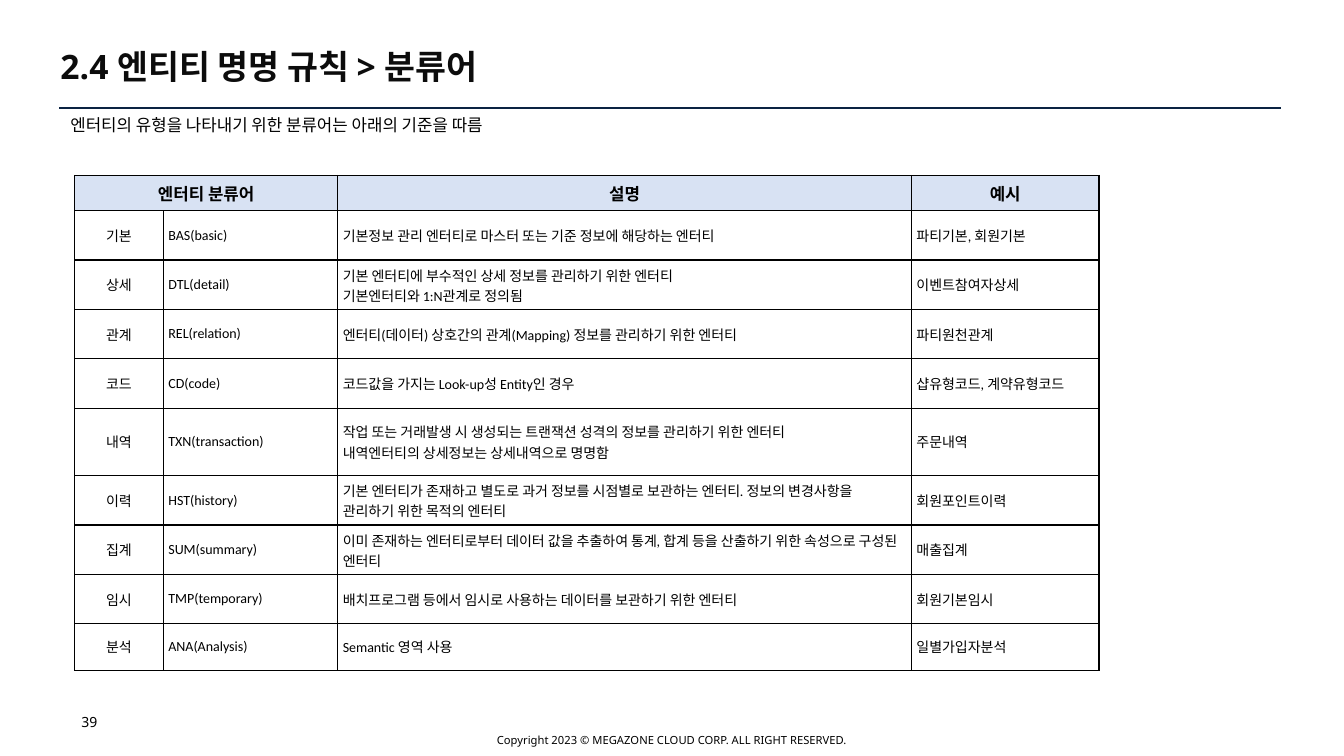
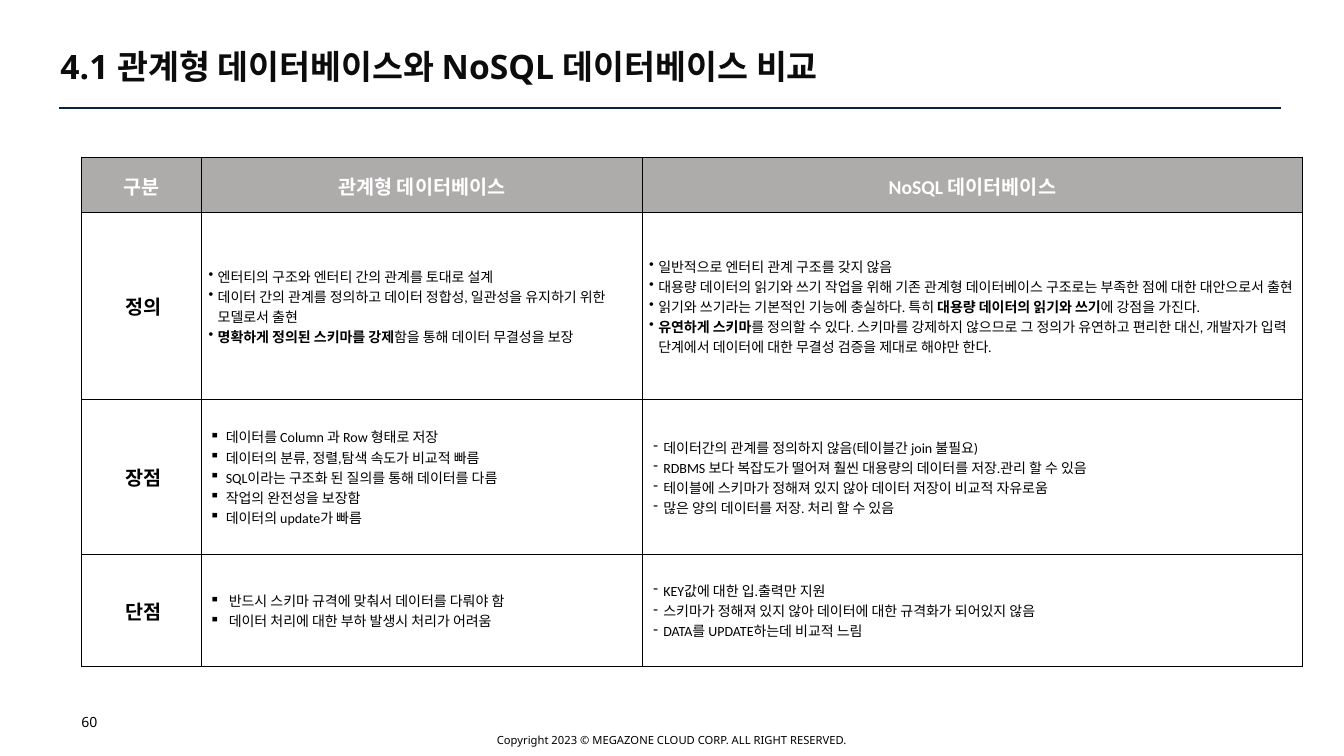
from dataclasses import dataclass, replace
from typing import NamedTuple, Optional

from lxml import etree
from pptx import Presentation, util as u
from pptx.dml.color import RGBColor
from pptx.enum import shapes, text
from pptx.oxml import ns

PX = 9144  # EMU per px, 100 px to the inch

BLACK = RGBColor(0x00, 0x00, 0x00)
WHITE = RGBColor(0xFF, 0xFF, 0xFF)
TITLE_INK = RGBColor(0x0C, 0x0C, 0x0C)
NAVY = RGBColor(0x0A, 0x23, 0x42)
PALE_BLUE = RGBColor(0xD8, 0xE2, 0xF3)
GREY = RGBColor(0xAE, 0xAB, 0xAB)

BODY_FONT = "Calibri"
FRAME_FONT = "Noto Sans"
LEFT, CENTER = text.PP_ALIGN.LEFT, text.PP_ALIGN.CENTER
TOP, MIDDLE = text.MSO_ANCHOR.TOP, text.MSO_ANCHOR.MIDDLE
COPYRIGHT = "Copyright 2023 © MEGAZONE CLOUD CORP. ALL RIGHT RESERVED."


class Box(NamedTuple):
    left: int
    top: int
    width: int
    height: int


class Inset(NamedTuple):
    left: int
    top: int
    right: int
    bottom: int


class Bullet(NamedTuple):
    char: str
    indent: int
    hanging: int


@dataclass(frozen=True)
class CellStyle:
    inset: Inset
    size: int = 10
    bold: bool = False
    color: RGBColor = BLACK
    align: text.PP_ALIGN = LEFT
    fill: Optional[RGBColor] = None
    bullet: Optional[Bullet] = None


class Cell(NamedTuple):
    content: str
    style: CellStyle


def px(length: int) -> u.Emu:
    return u.Emu(length * PX)


def add_child(parent, tag: str, **attributes: str):
    return etree.SubElement(parent, ns.qn(tag), attributes)


def set_bullet(paragraph, bullet: Bullet) -> None:
    properties = paragraph._p.get_or_add_pPr()
    properties.set("marL", str(px(bullet.indent)))
    properties.set("indent", str(px(-bullet.hanging)))
    color = add_child(properties, "a:buClr")
    add_child(color, "a:srgbClr", val=str(BLACK))
    add_child(properties, "a:buChar", char=bullet.char)


def write(frame, content: str, *, size: int, font: str = BODY_FONT,
          color: RGBColor = BLACK, bold: bool = False,
          align: text.PP_ALIGN = LEFT, spacing: Optional[float] = None,
          bullet: Optional[Bullet] = None) -> None:
    """Write one paragraph per line; ** switches bold on and off."""
    for number, line in enumerate(content.split("\n")):
        paragraph = frame.add_paragraph() if number else frame.paragraphs[0]
        if bullet:
            set_bullet(paragraph, bullet)
        paragraph.alignment = align
        if spacing:
            paragraph.line_spacing = spacing
        for part, words in enumerate(line.split("**")):
            if not words:
                continue
            run = paragraph.add_run()
            run.text = words
            run.font.name = font
            run.font.size = u.Pt(size)
            run.font.bold = bold or part % 2 == 1
            run.font.color.rgb = color


def set_inset(target, inset: Inset) -> None:
    target.margin_left, target.margin_top = px(inset.left), px(inset.top)
    target.margin_right, target.margin_bottom = px(inset.right), px(inset.bottom)


def add_text(slide, box: Box, content: str, *, anchor=TOP,
             inset: Inset = Inset(10, 5, 10, 5), grow: bool = False,
             **text_format) -> None:
    frame = slide.shapes.add_textbox(*map(px, box)).text_frame
    frame.word_wrap = True
    frame.vertical_anchor = anchor
    if grow:
        frame.auto_size = text.MSO_AUTO_SIZE.SHAPE_TO_FIT_TEXT
    set_inset(frame, inset)
    write(frame, content, **text_format)


def add_framed_slide(deck, title: str, page: int):
    """Add a slide with the title, rule, page number and copyright line."""
    slide = deck.slides.add_slide(deck.slide_layouts[6])
    rule = slide.shapes.add_connector(
        shapes.MSO_CONNECTOR.STRAIGHT, px(59), px(107), px(1271), px(107))
    rule.line.color.rgb = NAVY
    rule.line.width = u.Pt(1.5)
    add_child(rule._element.spPr, "a:effectLst")
    add_text(slide, Box(432, 713, 469, 30), COPYRIGHT, anchor=MIDDLE, grow=True,
             size=8, font=FRAME_FONT, align=CENTER, spacing=2.0)
    add_text(slide, Box(71, 703, 369, 40), str(page), size=10, font=FRAME_FONT)
    add_text(slide, Box(60, 48, 1211, 40), title, anchor=MIDDLE,
             inset=Inset(0, 0, 0, 0), size=24, font=FRAME_FONT,
             color=TITLE_INK, bold=True, spacing=0.9)
    return slide


def add_borders(cell) -> None:
    properties = cell._tc.get_or_add_tcPr()
    for side in ("a:lnL", "a:lnR", "a:lnT", "a:lnB"):
        line = add_child(properties, side, w=str(u.Pt(1)))
        fill = add_child(line, "a:solidFill")
        add_child(fill, "a:srgbClr", val=str(BLACK))


def fill_cell(cell, content: str, style: CellStyle) -> None:
    add_borders(cell)
    if style.fill is None:
        cell.fill.background()
    else:
        cell.fill.solid()
        cell.fill.fore_color.rgb = style.fill
    cell.vertical_anchor = MIDDLE
    set_inset(cell, style.inset)
    write(cell.text_frame, content, size=style.size, color=style.color,
          bold=style.bold, align=style.align, bullet=style.bullet)


def add_grid(slide, left: int, top: int, widths: list[int], heights: list[int],
             rows: list[list[Cell]]):
    box = Box(left, top, sum(widths), sum(heights))
    table = slide.shapes.add_table(len(heights), len(widths), *map(px, box)).table
    table.first_row = table.horz_banding = False
    for column, width in zip(table.columns, widths):
        column.width = px(width)
    for row, height, cells in zip(table.rows, heights, rows):
        row.height = px(height)
        for cell, (content, style) in zip(row.cells, cells):
            fill_cell(cell, content, style)
    return table


CLASS_BODY = CellStyle(Inset(5, 5, 5, 5))
CLASS_LABEL = replace(CLASS_BODY, align=CENTER)
CLASS_HEADER = replace(CLASS_LABEL, size=12, bold=True, fill=PALE_BLUE)

CLASS_HEADINGS = ["엔터티 분류어", "", "설명", "예시"]
CLASSIFIERS = [
    ("기본", "BAS(basic)",
     "기본정보 관리 엔터티로 마스터 또는 기준 정보에 해당하는 엔터티",
     "파티기본, 회원기본"),
    ("상세", "DTL(detail)",
     "기본 엔터티에 부수적인 상세 정보를 관리하기 위한 엔터티\n"
     "기본엔터티와 1:N관계로 정의됨",
     "이벤트참여자상세"),
    ("관계", "REL(relation)",
     "엔터티(데이터) 상호간의 관계(Mapping) 정보를 관리하기 위한 엔터티",
     "파티원천관계"),
    ("코드", "CD(code)", "코드값을 가지는 Look-up성 Entity인 경우",
     "샵유형코드, 계약유형코드"),
    ("내역", "TXN(transaction)",
     "작업 또는 거래발생 시 생성되는 트랜잭션 성격의 정보를 관리하기 위한 엔터티\n"
     "내역엔터티의 상세정보는 상세내역으로 명명함",
     "주문내역"),
    ("이력", "HST(history)",
     "기본 엔터티가 존재하고 별도로 과거 정보를 시점별로 보관하는 엔터티. "
     "정보의 변경사항을 관리하기 위한 목적의 엔터티",
     "회원포인트이력"),
    ("집계", "SUM(summary)",
     "이미 존재하는 엔터티로부터 데이터 값을 추출하여 통계, 합계 등을 "
     "산출하기 위한 속성으로 구성된 엔터티",
     "매출집계"),
    ("임시", "TMP(temporary)",
     "배치프로그램 등에서 임시로 사용하는 데이터를 보관하기 위한 엔터티",
     "회원기본임시"),
    ("분석", "ANA(Analysis)", "Semantic 영역 사용", "일별가입자분석"),
]

COMPARE_HEADER = CellStyle(Inset(1, 1, 1, 0), size=14, bold=True, color=WHITE,
                           align=CENTER, fill=GREY)
COMPARE_LABEL = replace(COMPARE_HEADER, inset=Inset(5, 1, 1, 0), color=BLACK,
                        fill=None)
COMPARE_BODY = CellStyle(Inset(4, 1, 1, 0))
DOTTED = replace(COMPARE_BODY, bullet=Bullet("•", 12, 9))
SQUARED = replace(COMPARE_BODY, bullet=Bullet("▪", 20, 16))
WIDE_SQUARED = replace(COMPARE_BODY, bullet=Bullet("▪", 23, 19))
DASHED = replace(COMPARE_BODY, bullet=Bullet("-", 17, 10))

COMPARE_HEADINGS = ["구분", "관계형 데이터베이스", "NoSQL 데이터베이스"]
COMPARISON = [
    [Cell("정의", COMPARE_LABEL),
     Cell("엔터티의 구조와 엔터티 간의 관계를 토대로 설계\n"
          "데이터 간의 관계를 정의하고 데이터 정합성, 일관성을 유지하기 위한 모델로서 출현\n"
          "**명확하게 정의된 스키마를 강제**함을 통해 데이터 무결성을 보장", DOTTED),
     Cell("일반적으로 엔터티 관계 구조를 갖지 않음\n"
          "대용량 데이터의 읽기와 쓰기 작업을 위해 기존 관계형 데이터베이스 구조로는 "
          "부족한 점에 대한 대안으로서 출현\n"
          "읽기와 쓰기라는 기본적인 기능에 충실하다. 특히 "
          "**대용량 데이터의 읽기와 쓰기**에 강점을 가진다.\n"
          "**유연하게 스키마**를 정의할 수 있다. 스키마를 강제하지 않으므로 그 정의가 "
          "유연하고 편리한 대신, 개발자가 입력 단계에서 데이터에 대한 무결성 검증을 "
          "제대로 해야만 한다.", DOTTED)],
    [Cell("장점", COMPARE_LABEL),
     Cell("데이터를 Column 과 Row 형태로 저장\n"
          "데이터의 분류, 정렬,탐색 속도가 비교적 빠름\n"
          "SQL이라는 구조화 된 질의를 통해 데이터를 다름\n"
          "작업의 완전성을 보장함\n"
          "데이터의 update가 빠름", SQUARED),
     Cell("데이터간의 관계를 정의하지 않음(테이블간 join 불필요)\n"
          "RDBMS 보다 복잡도가 떨어져 훨씬 대용량의 데이터를 저장.관리 할 수 있음\n"
          "테이블에 스키마가 정해져 있지 않아 데이터 저장이 비교적 자유로움\n"
          "많은 양의 데이터를 저장. 처리 할 수 있음", DASHED)],
    [Cell("단점", COMPARE_LABEL),
     Cell("반드시 스키마 규격에 맞춰서 데이터를 다뤄야 함\n"
          "데이터 처리에 대한 부하 발생시 처리가 어려움", WIDE_SQUARED),
     Cell("KEY값에 대한 입.출력만 지원\n"
          "스키마가 정해져 있지 않아 데이터에 대한 규격화가 되어있지 않음\n"
          "DATA를 UPDATE하는데 비교적 느림", DASHED)],
]


def build_classifiers(deck) -> None:
    slide = add_framed_slide(deck, "2.4 엔티티 명명 규칙 > 분류어", 39)
    add_text(slide, Box(60, 109, 826, 30),
             "엔터티의 유형을 나타내기 위한 분류어는 아래의 기준을 따름",
             size=12, grow=True)
    styles = [CLASS_LABEL, CLASS_BODY, CLASS_BODY, CLASS_BODY]
    rows = [[Cell(heading, CLASS_HEADER) for heading in CLASS_HEADINGS]]
    rows += [list(map(Cell, classifier, styles)) for classifier in CLASSIFIERS]
    heights = [35] + [49] * 4 + [67] + [49] * 3 + [46]
    table = add_grid(slide, 74, 174, [88, 173, 569, 186], heights, rows)
    table.cell(0, 0).merge(table.cell(0, 1))


def build_comparison(deck) -> None:
    slide = add_framed_slide(
        deck, "4.1 관계형 데이터베이스와 NoSQL 데이터베이스 비교", 60)
    header = [Cell(heading, COMPARE_HEADER) for heading in COMPARE_HEADINGS]
    add_grid(slide, 81, 156, [119, 437, 655], [55, 185, 154, 111],
             [header] + COMPARISON)


def main() -> None:
    deck = Presentation()
    deck.slide_width, deck.slide_height = px(1333), px(750)
    build_classifiers(deck)
    build_comparison(deck)
    deck.save("out.pptx")


if __name__ == "__main__":
    main()
